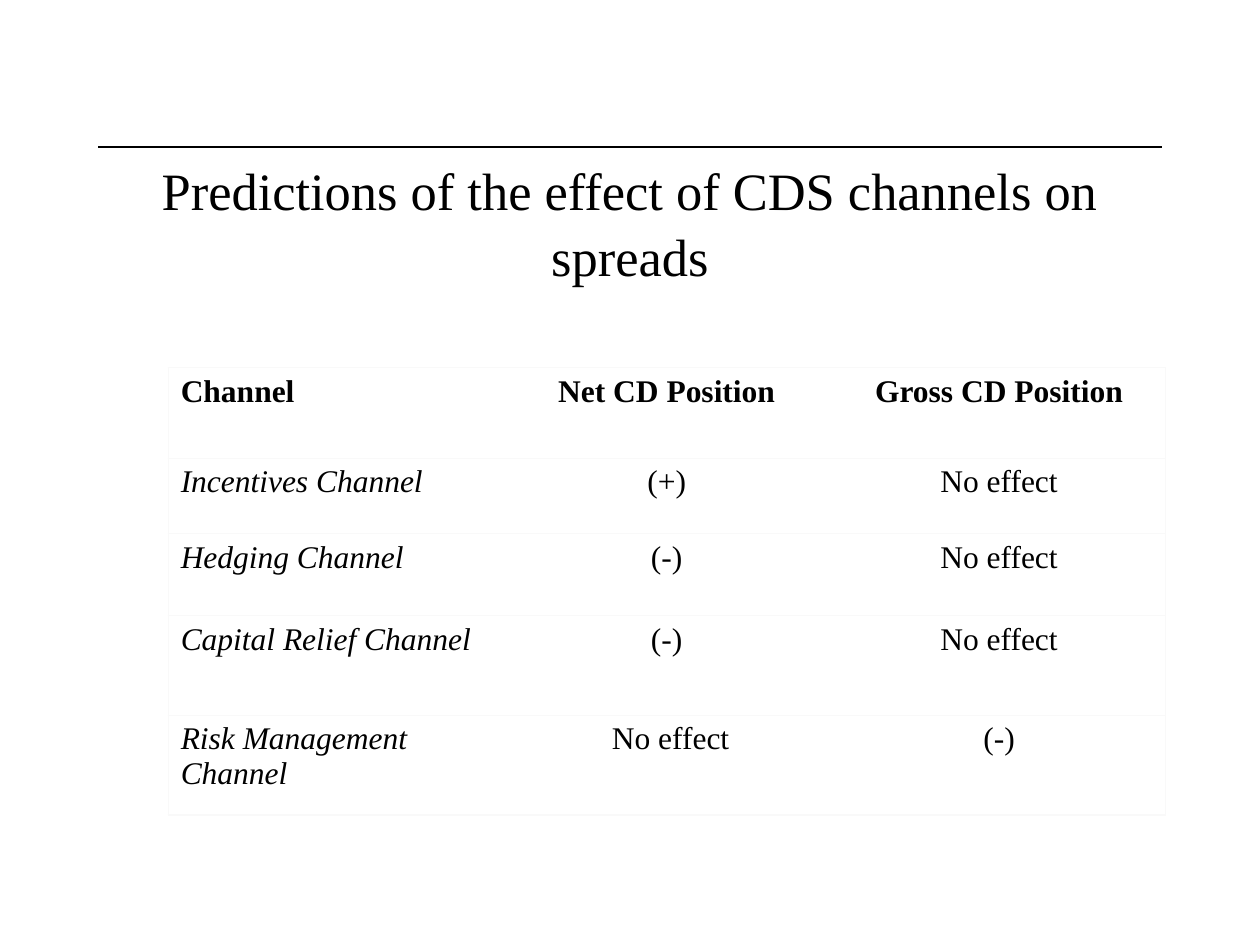
from dataclasses import dataclass

from lxml.etree import SubElement
from pptx import Presentation
from pptx.dml.color import RGBColor as RGB
from pptx.enum.shapes import MSO_CONNECTOR as Link
from pptx.enum.text import MSO_ANCHOR as Anchor, PP_ALIGN as Align
from pptx.oxml.ns import qn
from pptx.util import Cm, Pt


@dataclass(frozen=True)
class Theme:
    font: str = "Times New Roman"
    ink: RGB = RGB(0, 0, 0)
    edge: str = "F9F9F9"
    rule: Pt = Pt(1)
    hair: Pt = Pt(0.75)
    title: Pt = Pt(30)
    body: Pt = Pt(18)


@dataclass(frozen=True)
class Row:
    cells: tuple[str, str, str]
    height: Cm
    head: bool = False


THEME = Theme()
WIDTH = Cm(6.7)
ROWS = (
    Row(("Channel", "Net CD Position", "Gross CD Position"), Cm(1.83), True),
    Row(("Incentives Channel", "(+)", "No effect"), Cm(1.52)),
    Row(("Hedging Channel", "(-)", "No effect"), Cm(1.65)),
    Row(("Capital Relief Channel", "(-)", "No effect"), Cm(2.01)),
    Row(("Risk Management Channel", " No effect", "(-)"), Cm(2.01)),
)


def add_run(para, text: str, size: Pt, bold: bool = False,
            italic: bool = False) -> None:
    run = para.add_run()
    run.text = text
    font = run.font
    font.name, font.size = THEME.font, size
    font.bold, font.italic = bold, italic
    font.color.rgb = THEME.ink


def add_rule(slide) -> None:
    line = slide.shapes.add_connector(
        Link.STRAIGHT, Cm(1.98), Cm(2.97), Cm(23.42), Cm(2.97))
    line.line.color.rgb = THEME.ink
    line.line.width = THEME.rule
    SubElement(line._element.spPr, qn("a:effectLst"))


def add_title(slide, text: str) -> None:
    box = slide.shapes.add_textbox(Cm(1.9), Cm(3.58), Cm(21.6), Cm(1.75))
    frame = box.text_frame
    frame.word_wrap = True
    frame.vertical_anchor = Anchor.MIDDLE
    para = frame.paragraphs[0]
    para.alignment = Align.CENTER
    para.line_spacing = 1.05
    add_run(para, text, THEME.title)


def set_edges(cell, shown: str) -> None:
    """Draw the sides named in shown (L, R, T, B) and hide the others."""
    props = cell._tc.get_or_add_tcPr()
    for spot, side in enumerate("LRTB"):
        line = SubElement(props, qn(f"a:ln{side}"), w=str(THEME.hair))
        props.insert(spot, line)
        if side in shown:
            fill = SubElement(line, qn("a:solidFill"))
            SubElement(fill, qn("a:srgbClr"), val=THEME.edge)
        else:
            SubElement(line, qn("a:noFill"))


def add_grid(slide, rows: tuple[Row, ...]) -> None:
    count = len(rows[0].cells)
    high = sum(row.height for row in rows)
    grid = slide.shapes.add_table(
        len(rows), count, Cm(3.39), Cm(7.41), WIDTH * count, high).table
    grid.first_row = grid.horz_banding = False
    for r, row in enumerate(rows):
        grid.rows[r].height = row.height
        for c, text in enumerate(row.cells):
            cell = grid.cell(r, c)
            cell.fill.background()
            first, last = c == 0, c == count - 1
            set_edges(cell, "TB" + "L" * first + "R" * last)
            para = cell.text_frame.paragraphs[0]
            para.alignment = Align.LEFT if first else Align.CENTER
            add_run(para, text, THEME.body, row.head, first and not row.head)


def main() -> None:
    deck = Presentation()
    deck.slide_width, deck.slide_height = Cm(25.4), Cm(19.05)
    slide = deck.slides.add_slide(deck.slide_layouts[6])
    add_rule(slide)
    add_title(slide, "Predictions of the effect of CDS channels on spreads")
    add_grid(slide, ROWS)
    deck.save("out.pptx")


if __name__ == "__main__":
    main()
